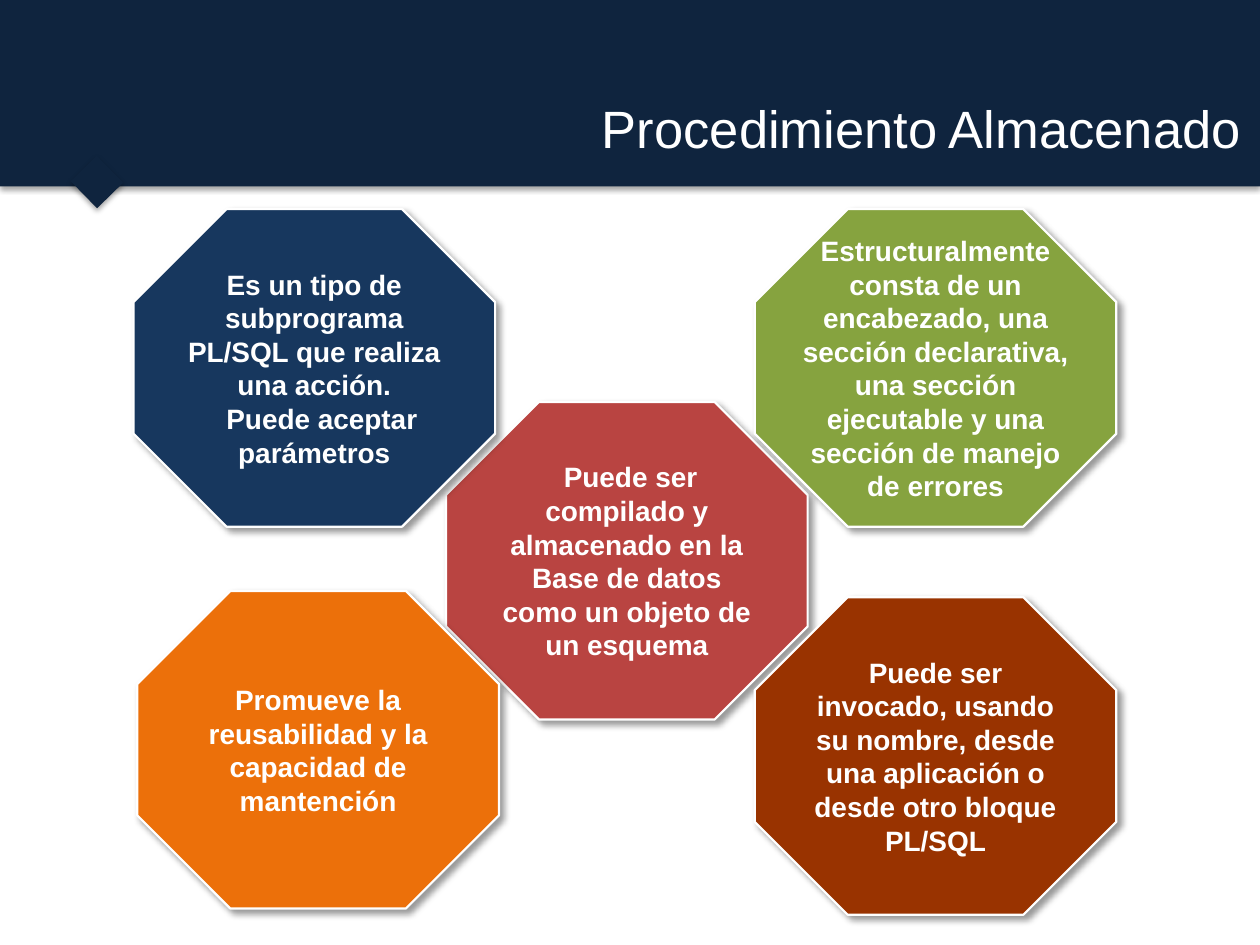
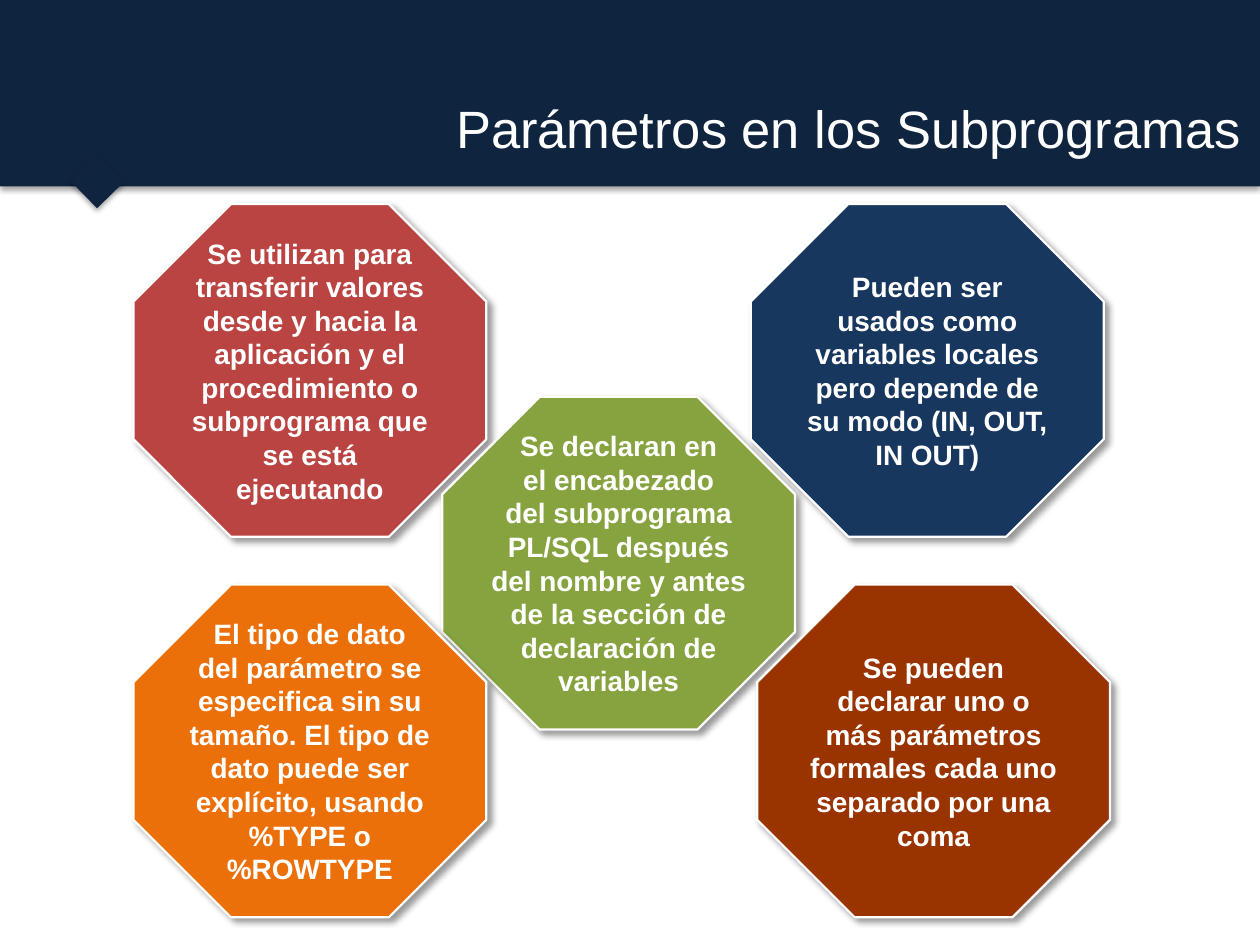
import dataclasses

import pptx
import pptx.dml.color
import pptx.enum.shapes
import pptx.enum.text
import pptx.oxml.ns
import pptx.util
from lxml import etree

Inches = pptx.util.Inches
Pt = pptx.util.Pt
Kind = pptx.enum.shapes.MSO_SHAPE
Align = pptx.enum.text.PP_ALIGN
qn = pptx.oxml.ns.qn


@dataclasses.dataclass(frozen=True)
class Theme:
    # Colours
    band: str = "0F243E"
    white: str = "FFFFFF"
    red: str = "B94441"
    green: str = "86A33F"
    blue: str = "17375E"
    orange: str = "EC700A"
    brown: str = "993300"
    # Type
    font: str = "Arial"
    head: int = 30
    body: int = 16
    # Shadows: opacity in percent, blur and distance in points, angle in degrees
    drop: tuple = (35, 3.1, 1.8, 90)
    cast: tuple = (40, 4, 3, 45)


def apply(target, values):
    for name, value in values.items():
        setattr(target, name, value)


def tint(code):
    return pptx.dml.color.RGBColor.from_string(code)


class Deck:
    def __init__(self, theme):
        self.theme = theme
        self.file = pptx.Presentation()
        apply(self.file, {"slide_width": Inches(10), "slide_height": Inches(7.5)})
        self.slide = None

    def shape(self, kind, box, fill, shade):
        shape = self.slide.shapes.add_shape(kind, *map(Inches, box))
        shape.fill.solid()
        shape.fill.fore_color.rgb = tint(fill)
        shape.line.fill.background()
        # Soft shadow
        shape.shadow.inherit = False
        alpha, blur, dist, angle = shade
        effects = shape.element.spPr.find(qn("a:effectLst"))
        outer = etree.SubElement(effects, qn("a:outerShdw"), {
            "blurRad": str(Pt(blur)), "dist": str(Pt(dist)),
            "dir": str(angle * 60000), "algn": "ctr", "rotWithShape": "0"})
        black = etree.SubElement(outer, qn("a:srgbClr"), val="000000")
        etree.SubElement(black, qn("a:alpha"), val=str(alpha * 1000))
        return shape

    def label(self, frame, lines, size, bold, align, inset):
        apply(frame, {
            "word_wrap": True,
            "auto_size": pptx.enum.text.MSO_AUTO_SIZE.NONE,
            "vertical_anchor": pptx.enum.text.MSO_ANCHOR.MIDDLE,
            "margin_left": inset, "margin_right": inset,
            "margin_top": inset, "margin_bottom": inset})
        frame.text = "\n".join(lines)
        for line in frame.paragraphs:
            line.alignment = align
            apply(line.runs[0].font, {
                "name": self.theme.font, "size": Pt(size), "bold": bold})
            line.runs[0].font.color.rgb = tint(self.theme.white)

    def page(self, text):
        look = self.theme
        self.slide = self.file.slides.add_slide(self.file.slide_layouts[5])
        title = self.slide.shapes.title
        # Band and its pointer lie behind the title
        band = self.shape(Kind.RECTANGLE, (0, 0, 10, 1.48), look.band, look.drop)
        point = self.shape(Kind.RECTANGLE, (0.62, 1.3, 0.3, 0.29), look.band, look.drop)
        point.rotation = 45.6
        for part in (band, point):
            title.element.addprevious(part.element)
        apply(title, {"left": Inches(0.35), "top": Inches(0.21),
                      "width": Inches(9.6), "height": Inches(1.6)})
        self.label(title.text_frame, [text], look.head, False, Align.RIGHT, Inches(0.1))

    def tile(self, spot, size, fill, lines, indent):
        look = self.theme
        tile = self.shape(Kind.OCTAGON, spot + size, fill, look.cast)
        tile.line.color.rgb = tint(look.white)
        tile.line.width = Pt(1.25)
        self.label(tile.text_frame, lines, look.body, True, Align.CENTER, 0)
        # First-line indent of the last paragraph
        if indent:
            last = tile.text_frame.paragraphs[-1]
            last._p.get_or_add_pPr().set("indent", str(Inches(indent)))


look = Theme()

# Title, tile size, then each tile: place, fill, paragraphs, indent
pages = [
    ("Procedimiento Almacenado", (2.87, 2.52), [
        ((3.54, 3.19), look.red,
         ["Puede ser compilado y almacenado en la Base de datos como un objeto "
          "de un esquema"], 0.06),
        ((5.99, 1.66), look.green,
         ["Estructuralmente consta de un encabezado, una sección declarativa, "
          "una sección ejecutable y una sección de manejo de errores"], 0),
        ((1.06, 1.66), look.blue,
         ["Es un tipo de subprograma PL/SQL que realiza una acción.",
          "Puede aceptar parámetros"], 0.12),
        ((1.09, 4.69), look.orange,
         ["Promueve la reusabilidad y la capacidad de mantención"], 0),
        ((5.99, 4.74), look.brown,
         ["Puede ser invocado, usando su nombre, desde una aplicación o desde "
          "otro bloque PL/SQL"], 0),
    ]),
    ("Parámetros en los Subprogramas", (2.8, 2.64), [
        ((1.06, 1.62), look.red,
         ["Se utilizan para transferir valores desde y hacia la aplicación y el "
          "procedimiento o subprograma que se está", "ejecutando"], 0),
        ((3.51, 3.15), look.green,
         ["Se declaran en", "el encabezado",
          "del subprograma PL/SQL después del nombre y antes de la sección de "
          "declaración de variables"], 0),
        ((5.96, 1.62), look.blue,
         ["Pueden ser usados como variables locales pero depende de su modo "
          "(IN, OUT, IN OUT)"], 0),
        ((1.06, 4.64), look.orange,
         ["El tipo de dato",
          "del parámetro se especifica sin su tamaño. El tipo de dato puede ser "
          "explícito, usando %TYPE o", "%ROWTYPE"], 0),
        ((6.01, 4.64), look.brown,
         ["Se pueden declarar uno o más parámetros formales cada uno separado "
          "por una coma"], 0),
    ]),
]


def main():
    deck = Deck(look)
    for title, size, tiles in pages:
        deck.page(title)
        for spot, fill, lines, indent in tiles:
            deck.tile(spot, size, fill, lines, indent)
    deck.file.save("out.pptx")


if __name__ == "__main__":
    main()
